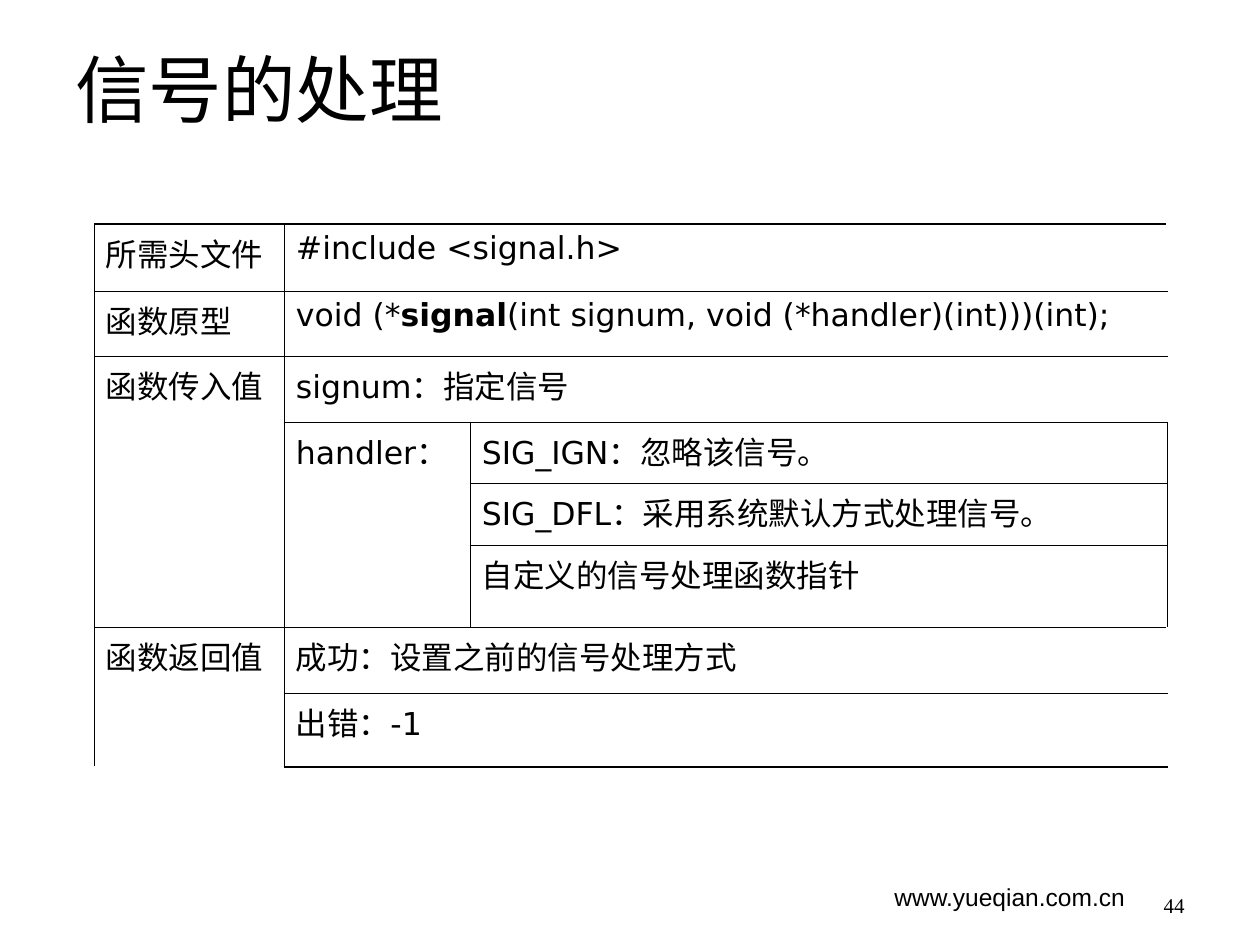
from dataclasses import dataclass
from itertools import product

from lxml.etree import SubElement
from pptx import Presentation
from pptx.dml.color import RGBColor
from pptx.enum.shapes import MSO_CONNECTOR as Connector
from pptx.enum.text import MSO_ANCHOR as Anchor, PP_ALIGN as Align
from pptx.oxml.ns import qn
from pptx.util import Pt

EMU_PER_PX = 914400 / 126


@dataclass(frozen=True)
class Theme:
    ink: str = "000000"
    title_font: str = "Arial"
    table_font: str = "DejaVu Sans"
    number_font: str = "Times New Roman"
    title_size: int = 42
    table_size: int = 18
    address_size: int = 14
    number_size: int = 12
    side_line: float = 0.34
    inner_line: float = 0.45
    end_line: float = 0.96


THEME = Theme()

COLUMNS = [190, 186, 697]
ROWS = [67, 65, 66, 61, 62, 82, 66, 74]

# row, column, rows spanned, columns spanned, text runs (a run in a tuple is bold)
CELLS = [
    (0, 0, 1, 1, ["所需头文件"]),
    (0, 1, 1, 2, ["#include <signal.h>"]),
    (1, 0, 1, 1, ["函数原型"]),
    (1, 1, 1, 2, ["void (*", ("signal",), "(int signum, void (*handler)(int)))(int);"]),
    (2, 0, 4, 1, ["函数传入值"]),
    (2, 1, 1, 2, ["signum：指定信号"]),
    (3, 1, 3, 1, ["handler："]),
    (3, 2, 1, 1, ["SIG_IGN：忽略该信号。"]),
    (4, 2, 1, 1, ["SIG_DFL：采用系统默认方式处理信号。"]),
    (5, 2, 1, 1, ["自定义的信号处理函数指针"]),
    (6, 0, 2, 1, ["函数返回值"]),
    (6, 1, 1, 2, ["成功：设置之前的信号处理方式"]),
    (7, 1, 1, 2, ["出错：-1"]),
]


def px(n):
    return round(n * EMU_PER_PX)


def write(tf, runs, *, font, size, align=Align.LEFT, anchor=Anchor.TOP):
    tf.word_wrap = True
    tf.vertical_anchor = anchor
    p = tf.paragraphs[0]
    p.alignment = align
    for run in runs:
        r = p.add_run()
        r.text = run[0] if isinstance(run, tuple) else run
        r.font.bold = isinstance(run, tuple)
        r.font.name = font
        r.font.size = Pt(size)
        r.font.color.rgb = RGBColor.from_string(THEME.ink)


def add_text(slide, text, left, top, width, height, **style):
    box = slide.shapes.add_textbox(px(left), px(top), px(width), px(height))
    write(box.text_frame, [text], **style)


def add_dot(slide, x, y):
    """A line of no length, which shows as a dot."""
    line = slide.shapes.add_connector(Connector.STRAIGHT, px(x), px(y), px(x), px(y))
    line.line.color.rgb = RGBColor.from_string(THEME.ink)
    line.line.width = Pt(1)
    SubElement(line._element.spPr, qn("a:effectLst"))


def add_border(cell, side, width):
    ln = SubElement(cell._tc.get_or_add_tcPr(), qn(f"a:ln{side}"), w=str(Pt(width)))
    fill = SubElement(ln, qn("a:solidFill"))
    SubElement(fill, qn("a:srgbClr"), val=THEME.ink)


def frame_span(table, row, col, height, width):
    """Draw borders only along the outside of a merged span."""
    bottom, right = row + height - 1, col + width - 1
    for r, c in product(range(row, bottom + 1), range(col, right + 1)):
        cell = table.cell(r, c)
        sides = [
            ("L", c == col, c == 0, THEME.side_line),
            ("R", c == right, c == len(COLUMNS) - 1, THEME.side_line),
            ("T", r == row, r == 0, THEME.end_line),
            ("B", r == bottom, r == len(ROWS) - 1, THEME.end_line),
        ]
        for side, on_span_edge, on_table_edge, edge_line in sides:
            if on_span_edge:
                add_border(cell, side, edge_line if on_table_edge else THEME.inner_line)
        cell.fill.background()


def add_signal_table(slide, left, top):
    table = slide.shapes.add_table(
        len(ROWS), len(COLUMNS), px(left), px(top), px(sum(COLUMNS)), px(sum(ROWS))
    ).table
    table.first_row = table.horz_banding = False
    for column, width in zip(table.columns, COLUMNS):
        column.width = px(width)
    for row, height in zip(table.rows, ROWS):
        row.height = px(height)
    for row, col, height, width, runs in CELLS:
        cell = table.cell(row, col)
        if height * width > 1:
            cell.merge(table.cell(row + height - 1, col + width - 1))
        write_cell(cell, runs)
        frame_span(table, row, col, height, width)


def write_cell(cell, runs):
    cell.vertical_anchor = Anchor.TOP
    cell.margin_left = cell.margin_right = px(12)
    cell.margin_top = cell.margin_bottom = px(6)
    write(cell.text_frame, runs, font=THEME.table_font, size=THEME.table_size)


def main():
    prs = Presentation()
    prs.slide_width, prs.slide_height = px(1260), px(945)
    slide = prs.slides.add_slide(prs.slide_layouts[6])
    add_text(slide, "www.yueqian.com.cn", 882, 876, 315, 50,
             font=THEME.title_font, size=THEME.address_size)
    add_text(slide, "信号的处理", 63, 38, 1134, 158,
             font=THEME.title_font, size=THEME.title_size)
    add_dot(slide, 485, 543)
    add_signal_table(slide, 94, 224)
    add_text(slide, "44", 903, 861, 294, 63, font=THEME.number_font,
             size=THEME.number_size, align=Align.RIGHT, anchor=Anchor.BOTTOM)
    prs.save("out.pptx")


if __name__ == "__main__":
    main()
